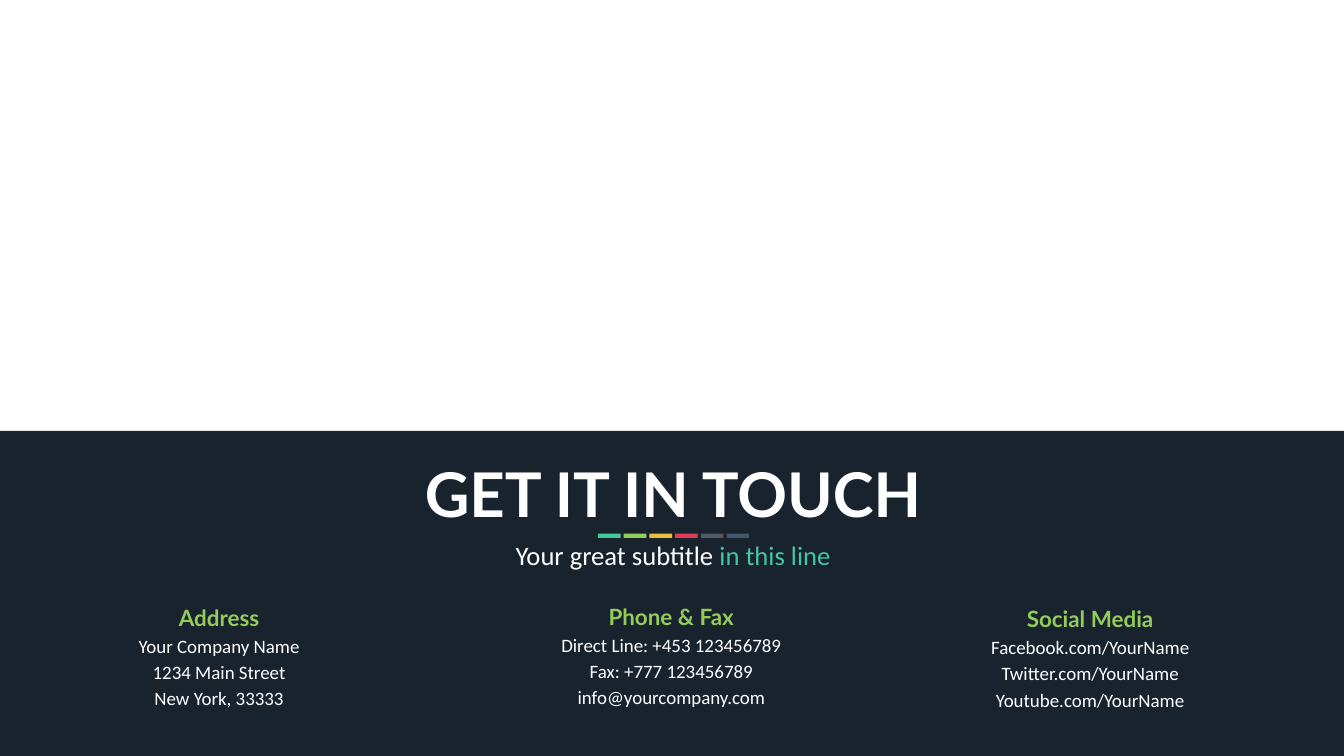
import pptx
import pptx.dml.color
import pptx.enum.shapes
import pptx.enum.text
import pptx.util

Pt = pptx.util.Pt
RECTANGLE = pptx.enum.shapes.MSO_SHAPE.RECTANGLE
WHITE, GREEN, TEAL, NAVY = "FFFFFF", "93CC5A", "44C69E", "19232E"


def add_rectangle(left, top, width, height, color):
    shape = slide.shapes.add_shape(RECTANGLE, Pt(left), Pt(top), Pt(width), Pt(height))
    shape.shadow.inherit = False
    shape.fill.solid()
    shape.fill.fore_color.rgb = pptx.dml.color.RGBColor.from_string(color)
    shape.line.fill.background()
    return shape


def fill_text(shape, box, margins, lines, gap=0):
    shape.left, shape.top, shape.width, shape.height = [Pt(value) for value in box]
    frame = shape.text_frame
    frame.word_wrap = True
    frame.auto_size = pptx.enum.text.MSO_AUTO_SIZE.NONE
    frame.vertical_anchor = pptx.enum.text.MSO_ANCHOR.TOP
    frame.margin_left = frame.margin_right = Pt(margins[0])
    frame.margin_top = frame.margin_bottom = Pt(margins[1])
    for index, runs in enumerate(lines):
        paragraph = frame.add_paragraph() if index else frame.paragraphs[0]
        paragraph.alignment = pptx.enum.text.PP_ALIGN.CENTER
        paragraph.space_before = Pt(gap if index else 0)
        for text, size, font, color, bold in runs:
            run = paragraph.add_run()
            run.text = text
            run.font.size = Pt(size)
            run.font.name = font
            run.font.bold = bold
            run.font.color.rgb = pptx.dml.color.RGBColor.from_string(color)


presentation = pptx.Presentation()
presentation.slide_width = Pt(1919.52)
presentation.slide_height = Pt(1080)
slide = presentation.slides.add_slide(presentation.slide_layouts[0])
title, subtitle = slide.placeholders

band = add_rectangle(0, 615.6, 1919.52, 464.4, NAVY)
title.element.addprevious(band.element)

fill_text(title, (136.8, 647.3, 1648.8, 113.8), (7.2, 3.6),
          [[("GET IT IN TOUCH", 88, "Lato", WHITE, True)]])
fill_text(subtitle, (136.8, 766.8, 1648.8, 53.3), (7.2, 3.6),
          [[("Your great subtitle ", 38, "Calibri", WHITE, False),
            ("in this line", 38, "Calibri", TEAL, False)]])

for index, color in enumerate([TEAL, GREEN, "EDBD3C", "E43D53", "525964", "445469"]):
    add_rectangle(853.9 + index * 36.75, 762.5, 32.4, 5.8, color)

contacts = [
    (71.3, 853.9, "Address",
     ["Your Company Name", "1234 Main Street", "New York, 33333"]),
    (717.1, 851.8, "Phone & Fax",
     ["Direct Line: +453 123456789", "Fax: +777 123456789", "info@yourcompany.com"]),
    (1315.4, 855.4, "Social Media",
     ["Facebook.com/YourName", "Twitter.com/YourName", "Youtube.com/YourName"]),
]
for left, top, heading, details in contacts:
    lines = [[(heading, 32, "Lato", GREEN, True)]]
    lines += [[(detail, 27, "Calibri", WHITE, False)] for detail in details]
    contact_box = slide.shapes.add_textbox(0, 0, 0, 0)
    fill_text(contact_box, (left, top, 483.1, 216.7), (19.4, 9.4), lines, gap=5)

presentation.save("out.pptx")
